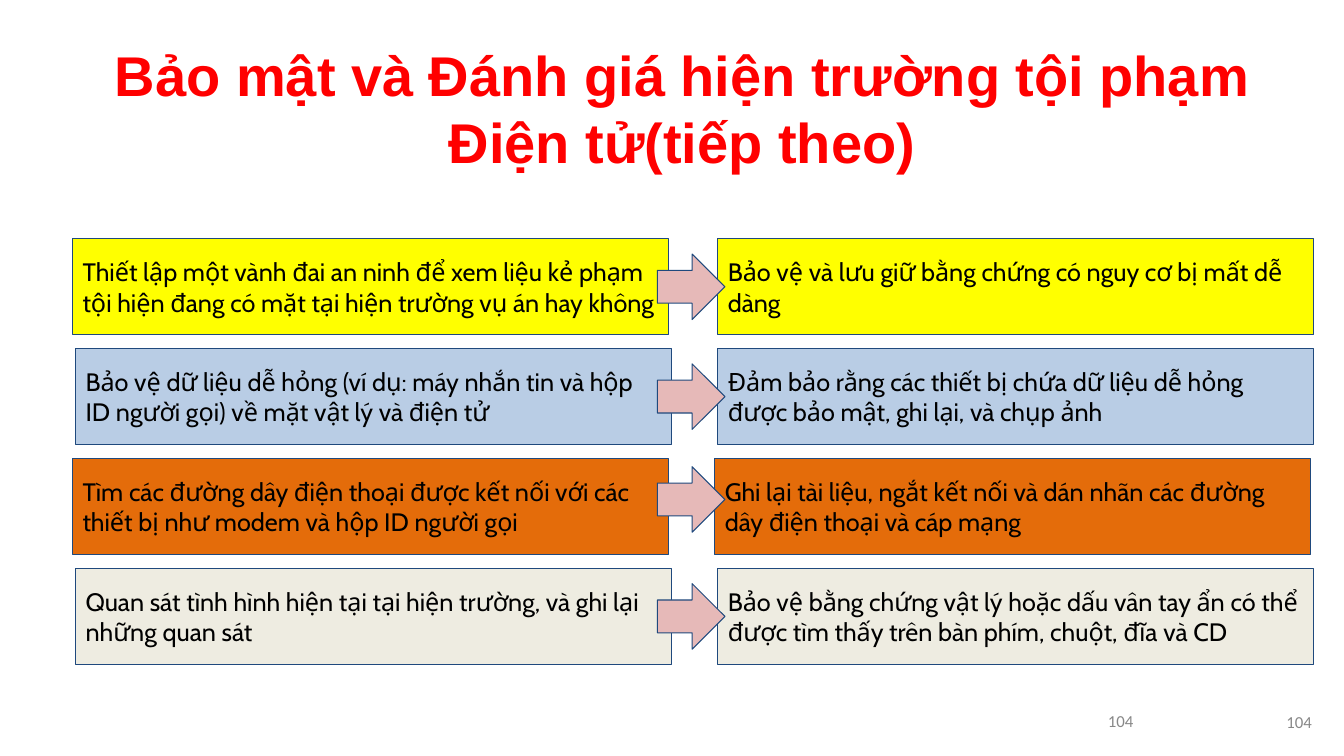
from pptx import Presentation
from pptx.dml.color import RGBColor
from pptx.enum.shapes import MSO_SHAPE as SHAPE
from pptx.enum.text import MSO_ANCHOR as ANCHOR, PP_ALIGN as ALIGN
from pptx.util import Inches, Pt

prs = Presentation()
prs.slide_width, prs.slide_height = Inches(13.33), Inches(7.5)
s = prs.slides.add_slide(prs.slide_layouts[6])


def set_text(sp, text, font, size, color, align, inset_x, inset_y, bold=False):
    tf = sp.text_frame
    tf.word_wrap = True
    tf.vertical_anchor = ANCHOR.MIDDLE
    tf.margin_left = tf.margin_right = Inches(inset_x)
    tf.margin_top = tf.margin_bottom = Inches(inset_y)
    tf.text = text
    p = tf.paragraphs[0]
    p.alignment = align
    for r in p.runs:
        r.font.name, r.font.size, r.font.bold = font, Pt(size), bold
        r.font.color.rgb = RGBColor.from_string(color)


def add_block(kind, left, top, width, height, fill):
    sp = s.shapes.add_shape(kind, Inches(left), Inches(top), Inches(width), Inches(height))
    sp.shadow.inherit = False
    sp.fill.solid()
    sp.fill.fore_color.rgb = RGBColor.from_string(fill)
    sp.line.color.rgb = RGBColor.from_string("1F497D")
    sp.line.width = Pt(0.75)
    return sp


# Title
title = s.shapes.add_textbox(Inches(0.1), Inches(0.22), Inches(13.33), Inches(1.7))
set_text(title, "Bảo mật và Đánh giá hiện trường tội phạm\vĐiện tử(tiếp theo)",
         "Arial", 40, "FF0000", ALIGN.CENTER, 0.1, 0.05, bold=True)

# Rows: fill, left box x, right box x, arrow top, left text, right text
rows = [
    ("FFFF00", 0.72, 7.12, 2.52,
     "Thiết lập một vành đai an ninh để xem liệu kẻ phạm tội hiện đang có mặt tại hiện trường vụ án hay không",
     "Bảo vệ và lưu giữ bằng chứng có nguy cơ bị mất dễ dàng"),
    ("B9CDE5", 0.75, 7.12, 3.61,
     "Bảo vệ dữ liệu dễ hỏng (ví dụ: máy nhắn tin và hộp ID người gọi) về mặt vật lý và điện tử",
     "Đảm bảo rằng các thiết bị chứa dữ liệu dễ hỏng được bảo mật, ghi lại, và chụp ảnh"),
    ("E46C0A", 0.72, 7.09, 4.63,
     "Tìm các đường dây điện thoại được kết nối với các thiết bị như modem và hộp ID người gọi",
     "Ghi lại tài liệu, ngắt kết nối và dán nhãn các đường dây điện thoại và cáp mạng"),
    ("EEECE1", 0.75, 7.12, 5.79,
     "Quan sát tình hình hiện tại tại hiện trường, và ghi lại những quan sát",
     "Bảo vệ bằng chứng vật lý hoặc dấu vân tay ẩn có thể được tìm thấy trên bàn phím, chuột, đĩa và CD"),
]
for i, (fill, left_x, right_x, arrow_top, left_text, right_text) in enumerate(rows):
    top = 2.37 + 1.09 * i
    for x, text in ((left_x, left_text), (right_x, right_text)):
        box = add_block(SHAPE.RECTANGLE, x, top, 5.91, 0.95, fill)
        set_text(box, text, "Cabin", 18, "000000", ALIGN.LEFT, 0.1, 0.1)
    add_block(SHAPE.RIGHT_ARROW, 6.52, arrow_top, 0.67, 0.65, "E6B9B8")

# Slide numbers
for left, top, width, height in ((9.56, 6.95, 3.11, 0.4), (12.44, 6.82, 0.89, 0.68)):
    number = s.shapes.add_textbox(Inches(left), Inches(top), Inches(width), Inches(height))
    set_text(number, "104", "Calibri", 12, "888888", ALIGN.CENTER, 0, 0)

prs.save("out.pptx")
